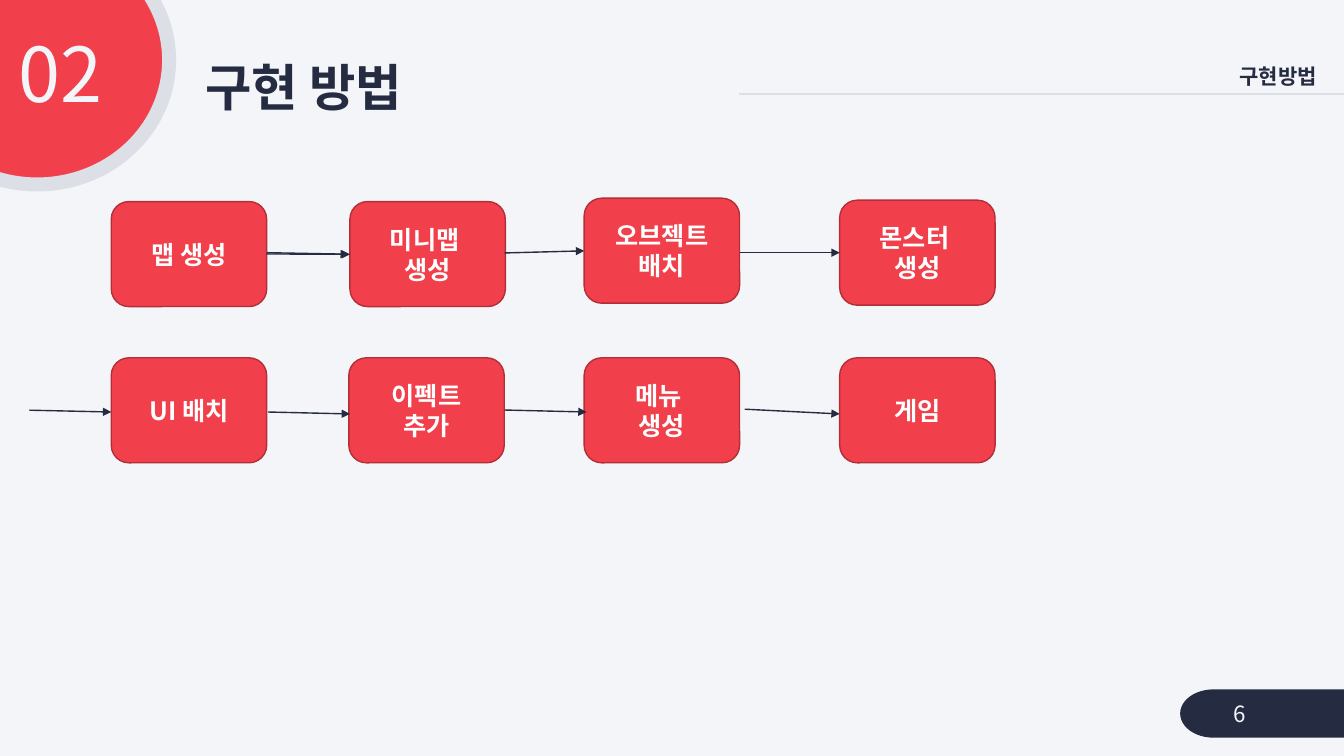
"""Build the implementation-steps slide with two rows of flow boxes."""
from lxml.etree import SubElement
from pptx import Presentation
from pptx.dml.color import RGBColor
from pptx.enum.shapes import MSO_CONNECTOR, MSO_SHAPE
from pptx.enum.text import MSO_ANCHOR as ANCHOR, PP_ALIGN as ALIGN
from pptx.oxml.ns import qn
from pptx.util import Pt

FONT = "Noto Sans CJK KR"
COLORS = {name: RGBColor.from_string(value) for name, value in {
    "background": "F4F5F9", "red": "F1404B", "dark_red": "B22F37",
    "navy": "252C41", "gray": "DDDFE6", "white": "FFFFFF"}.items()}


def write_text(shape, lines, size, color, bold=False, align=ALIGN.LEFT,
               anchor=ANCHOR.MIDDLE, line_spacing=1.0, space_before=0):
    frame = shape.text_frame
    frame.word_wrap = True
    frame.vertical_anchor = anchor
    frame.text = "\n".join(lines)
    for paragraph in frame.paragraphs:
        paragraph.alignment = align
        paragraph.line_spacing = line_spacing
        paragraph.space_before = Pt(space_before)
        font = paragraph.font
        font.size, font.bold, font.name = Pt(size), bold, FONT
        font.color.rgb = COLORS[color]
        defaults = paragraph._p.pPr.find(qn("a:defRPr"))
        SubElement(defaults, qn("a:ea"), typeface=FONT)


def add_line(start, end, color, width, arrow=False):
    connector = slide.shapes.add_connector(
        MSO_CONNECTOR.STRAIGHT, *(Pt(value) for value in (*start, *end)))
    connector.line.color.rgb = COLORS[color]
    connector.line.width = Pt(width)
    if arrow:
        SubElement(connector.line._get_or_add_ln(), qn("a:tailEnd"), type="triangle")
    SubElement(connector._element.spPr, qn("a:effectLst"))


presentation = Presentation()
presentation.slide_width, presentation.slide_height = Pt(960), Pt(540)
slide = presentation.slides.add_slide(presentation.slide_layouts[6])
slide.background.fill.solid()
slide.background.fill.fore_color.rgb = COLORS["background"]

add_line((528, 67), (960, 67), "gray", 1.5)

BOX_WIDTH, BOX_HEIGHT = 111, 75
boxes = [
    (79.5, 144, ["맵 생성"]), (250, 144, ["미니맵 ", "생성"]),
    (417.3, 141.6, ["오브젝트", "배치"]), (599.8, 143, ["몬스터 ", "생성"]),
    (79.5, 255.6, ["UI 배치"]), (249.2, 255.6, ["이펙트", "추가"]),
    (417.3, 255.6, ["메뉴 ", "생성"]), (599.8, 255.6, ["게임"])]
shapes = [
    (MSO_SHAPE.OVAL, -67.7, -46, 188.5, 177.8, "red", "gray", 10, []),
    (MSO_SHAPE.FLOWCHART_TERMINATOR, 843, 492.4, 147.6, 34.5, "navy", None, 0, [])]
shapes += [(MSO_SHAPE.ROUNDED_RECTANGLE, left, top, BOX_WIDTH, BOX_HEIGHT,
            "red", "dark_red", 1, lines) for left, top, lines in boxes]
for kind, left, top, width, height, fill, outline, weight, lines in shapes:
    shape = slide.shapes.add_shape(kind, Pt(left), Pt(top), Pt(width), Pt(height))
    shape.shadow.inherit = False
    shape.fill.solid()
    shape.fill.fore_color.rgb = COLORS[fill]
    if outline:
        shape.line.color.rgb = COLORS[outline]
        shape.line.width = Pt(weight)
    else:
        shape.line.fill.background()
    if lines:
        write_text(shape, lines, 18, "white", bold=True, align=ALIGN.CENTER)

heading = dict(bold=True, line_spacing=0.9)
labels = [
    ("02", (-8, 23, 88, 66), 54, "background",
     dict(align=ALIGN.RIGHT, anchor=ANCHOR.TOP, line_spacing=0.9, space_before=10)),
    ("구현 방법", (139.7, 40.3, 388, 48), 36, "navy", heading),
    ("구현방법", (878.4, 31.7, 98.6, 48), 15, "navy", heading),
    ("6", (874, 495.4, 78.5, 28.8), 16, "background", {})]
for label, bounds, size, color, style in labels:
    text_box = slide.shapes.add_textbox(*(Pt(value) for value in bounds))
    write_text(text_box, [label], size, color, **style)

arrows = [
    ((190.3, 181.4), (250, 181.7)), ((360.5, 180.7), (417.3, 179.2)),
    ((528.3, 180.5), (599.8, 180.5)), ((190.8, 180.5), (249.2, 181.6)),
    ((532, 292.3), (599.8, 295.7)), ((360.5, 292.9), (419, 294.3)),
    ((191.5, 294.3), (250, 295.7)), ((21, 293), (79.5, 294.3))]
for start, end in arrows:
    add_line(start, end, "navy", 1, arrow=True)

presentation.save("out.pptx")
